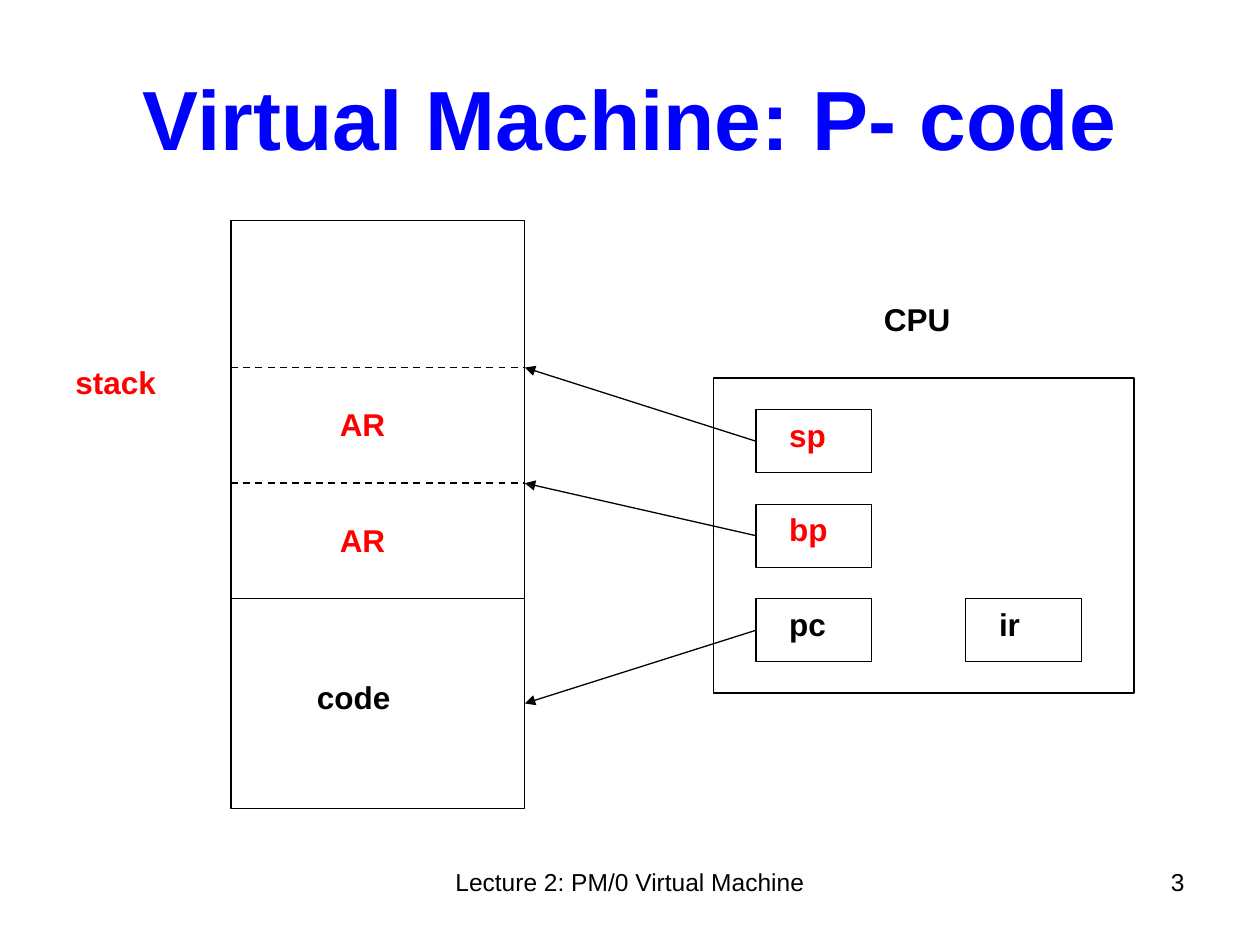
from lxml import etree
from pptx import Presentation
from pptx.dml.color import RGBColor
from pptx.enum import dml, shapes, text
from pptx.oxml import ns
from pptx.util import Cm, Pt

BLACK, RED, BLUE = "000000", "FF0000", "0000FF"
LEFT, CENTER, RIGHT = text.PP_ALIGN.LEFT, text.PP_ALIGN.CENTER, text.PP_ALIGN.RIGHT


def color(value):
    return RGBColor.from_string(value)


def add_text(words, left, top, width, height, ink=BLACK, size=18, bold=True,
             align=LEFT, wrap=False, anchor=text.MSO_ANCHOR.TOP):
    box = slide.shapes.add_textbox(Cm(left), Cm(top), Cm(width), Cm(height))
    frame = box.text_frame
    frame.word_wrap, frame.vertical_anchor = wrap, anchor
    paragraph = frame.paragraphs[0]
    paragraph.alignment = align
    run = paragraph.add_run()
    run.text = words
    for name, value in {"name": "Arial", "size": Pt(size), "bold": bold}.items():
        setattr(run.font, name, value)
    run.font.color.rgb = color(ink)


presentation = Presentation()
presentation.slide_width, presentation.slide_height = Cm(25.4), Cm(19.05)
slide = presentation.slides.add_slide(presentation.slide_layouts[6])

# Title and footer
add_text("Virtual Machine: P- code", 1.27, 0.76, 22.86, 3.18, BLUE, 48,
         align=CENTER, wrap=True, anchor=text.MSO_ANCHOR.MIDDLE)
add_text("Lecture 2: PM/0 Virtual Machine", 8.68, 17.35, 8.04, 1.32, size=14,
         bold=False, align=CENTER, wrap=True)
add_text("3", 18.2, 17.35, 5.93, 1.32, size=14, bold=False, align=RIGHT, wrap=True)

# Memory, CPU and its registers: name, left, top, label width, ink
memory_left, memory_right = 4.66, 10.58
register_left, register_width, register_height = 15.24, 2.33, 1.27
sp_top, bp_top, pc_top = [8.26 + 1.905 * row for row in range(3)]
registers = [
    ("sp", register_left, sp_top, 1.27, RED),
    ("bp", register_left, bp_top, 1.3, RED),
    ("pc", register_left, pc_top, 1.27, BLACK),
    ("ir", 19.47, pc_top, 0.94, BLACK),
]
boxes = [(memory_left, 4.45, memory_right - memory_left, 11.85),
         (14.39, 7.62, 8.47, 6.35)]
boxes += [(left, top, register_width, register_height)
          for _, left, top, _, _ in registers]
for box in boxes:
    shape = slide.shapes.add_shape(shapes.MSO_SHAPE.RECTANGLE, *map(Cm, box))
    shape.shadow.inherit = False
    shape.fill.background()
    shape.line.color.rgb = color(BLACK)
    shape.line.width = Pt(0.75)

# Memory dividers and register pointers: from, to, width, dashed, arrow
stack_top, frame_base, code_top, code_middle = 7.41, 9.74, 12.07, 14.18
lines = [((memory_left, y), (memory_right, y), width, dashed, False)
         for y, width, dashed in [(stack_top, 1, True), (frame_base, 1, True),
                                  (code_top, 0.75, False)]]
lines += [((register_left, top + register_height / 2), (memory_right, y), 0.75, False, True)
          for top, y in [(sp_top, stack_top), (bp_top, frame_base), (pc_top, code_middle)]]
for start, end, width, dashed, arrow in lines:
    connector = slide.shapes.add_connector(
        shapes.MSO_CONNECTOR.STRAIGHT, *map(Cm, start + end))
    connector.line.color.rgb = color(BLACK)
    connector.line.width = Pt(width)
    if dashed:
        connector.line.dash_style = dml.MSO_LINE.DASH
    if arrow:
        etree.SubElement(connector.line._get_or_add_ln(), ns.qn("a:tailEnd"), type="triangle")
    etree.SubElement(connector._element.spPr, ns.qn("a:effectLst"))

# Labels
labels = [
    ("stack", 1.27, 7.2, 2.16, RED),
    ("AR", 6.6, 8.04, 1.45, RED),
    ("AR", 6.6, 10.37, 1.45, RED),
    ("code", 6.14, 13.55, 2.01, BLACK),
    ("CPU", 17.57, 5.93, 1.85, BLACK),
]
labels += [(name, left + 0.42, top, width, ink)
           for name, left, top, width, ink in registers]
for words, left, top, width, ink in labels:
    add_text(words, left, top, width, 1.02, ink)

presentation.save("out.pptx")
